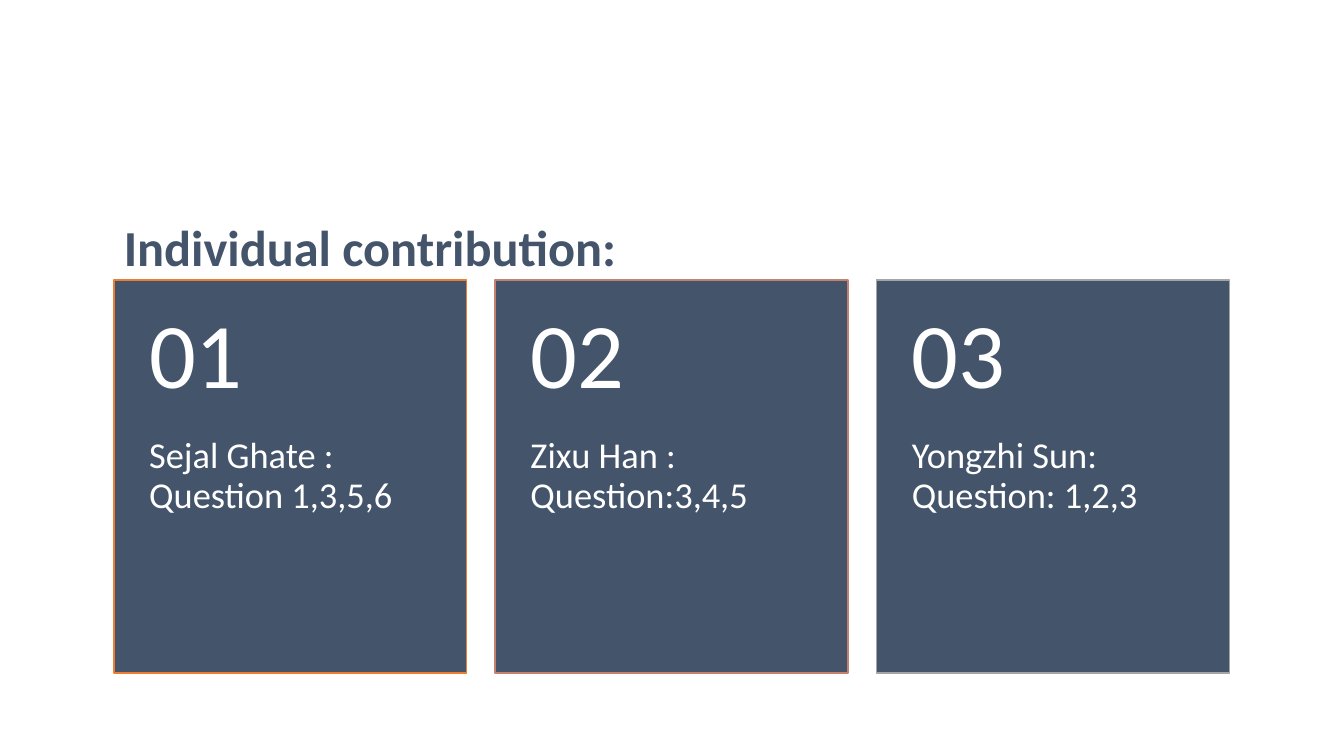
from pptx import Presentation
from pptx.dml.color import RGBColor
from pptx.enum.shapes import MSO_SHAPE as Shape
from pptx.enum.text import MSO_ANCHOR as Anchor, MSO_AUTO_SIZE as AutoSize, PP_ALIGN as Align
from pptx.util import Cm, Pt

SLATE, WHITE = "44546A", "FFFFFF"
LEFT, CARD_TOP, CARD_WIDTH, CARD_PITCH = 2.87, 7.06, 8.89, 9.61
NUMBER_HEIGHT, DETAIL_HEIGHT = 3.96, 5.94
SIDE_INSET = 0.89

CONTRIBUTIONS = [
    ("Sejal Ghate : Question 1,3,5,6", "ED7D31"),
    ("Zixu Han : Question:3,4,5", "C48170"),
    ("Yongzhi Sun: Question: 1,2,3", "A5A5A5"),
]


def color(hex_code):
    return RGBColor.from_string(hex_code)


def set_all(target, values):
    for name, value in values.items():
        setattr(target, name, value)


class SlideBuilder:
    font_name = "Calibri"
    line_spacing = 0.9

    def __init__(self, slide):
        self.slide = slide
        self.cards = slide.shapes.add_group_shape()

    def fill_text(self, holder, text, size, hex_code, anchor, insets, bold=False):
        """Fill a text holder; insets are left, top, right, bottom in cm."""
        frame = holder.text_frame
        left, top, right, bottom = map(Cm, insets)
        set_all(frame, {
            "text": text, "word_wrap": True, "auto_size": AutoSize.NONE,
            "vertical_anchor": anchor, "margin_left": left, "margin_top": top,
            "margin_right": right, "margin_bottom": bottom,
        })
        paragraph = frame.paragraphs[0]
        set_all(paragraph, {"alignment": Align.LEFT, "line_spacing": self.line_spacing})
        font = paragraph.runs[0].font
        set_all(font, {"name": self.font_name, "size": Pt(size), "bold": bold})
        font.color.rgb = color(hex_code)

    def title(self, text):
        heading = self.slide.shapes.title
        set_all(heading, {"left": Cm(LEFT), "top": Cm(5.61),
                          "width": Cm(29.39), "height": Cm(1.37)})
        self.fill_text(heading, text, 36, SLATE, Anchor.MIDDLE,
                       (0.25, 0.13, 0.25, 0.13), bold=True)

    def panel(self, left, outline):
        panel = self.cards.shapes.add_shape(
            Shape.RECTANGLE, Cm(left), Cm(CARD_TOP),
            Cm(CARD_WIDTH), Cm(NUMBER_HEIGHT + DETAIL_HEIGHT))
        panel.shadow.inherit = False
        panel.fill.solid()
        panel.fill.fore_color.rgb = color(SLATE)
        panel.line.color.rgb = color(outline)
        panel.line.width = Pt(1)

    def label(self, left, top, height, text, size, anchor, insets):
        label = self.cards.shapes.add_textbox(Cm(left), Cm(top), Cm(CARD_WIDTH), Cm(height))
        self.fill_text(label, text, size, WHITE, anchor, insets)

    def card(self, number, detail, outline):
        left = LEFT + (number - 1) * CARD_PITCH
        self.panel(left, outline)
        self.label(left, CARD_TOP + NUMBER_HEIGHT, DETAIL_HEIGHT, detail, 26,
                   Anchor.TOP, (SIDE_INSET, 0, SIDE_INSET, 0.91))
        self.label(left, CARD_TOP, NUMBER_HEIGHT, f"{number:02}", 66,
                   Anchor.MIDDLE, (SIDE_INSET, 0.46, SIDE_INSET, 0.46))


def main():
    deck = Presentation()
    set_all(deck, {"slide_width": Cm(33.87), "slide_height": Cm(19.05)})
    builder = SlideBuilder(deck.slides.add_slide(deck.slide_layouts[5]))
    builder.title("Individual contribution:")
    for number, (detail, outline) in enumerate(CONTRIBUTIONS, start=1):
        builder.card(number, detail, outline)
    deck.save("out.pptx")


if __name__ == "__main__":
    main()
